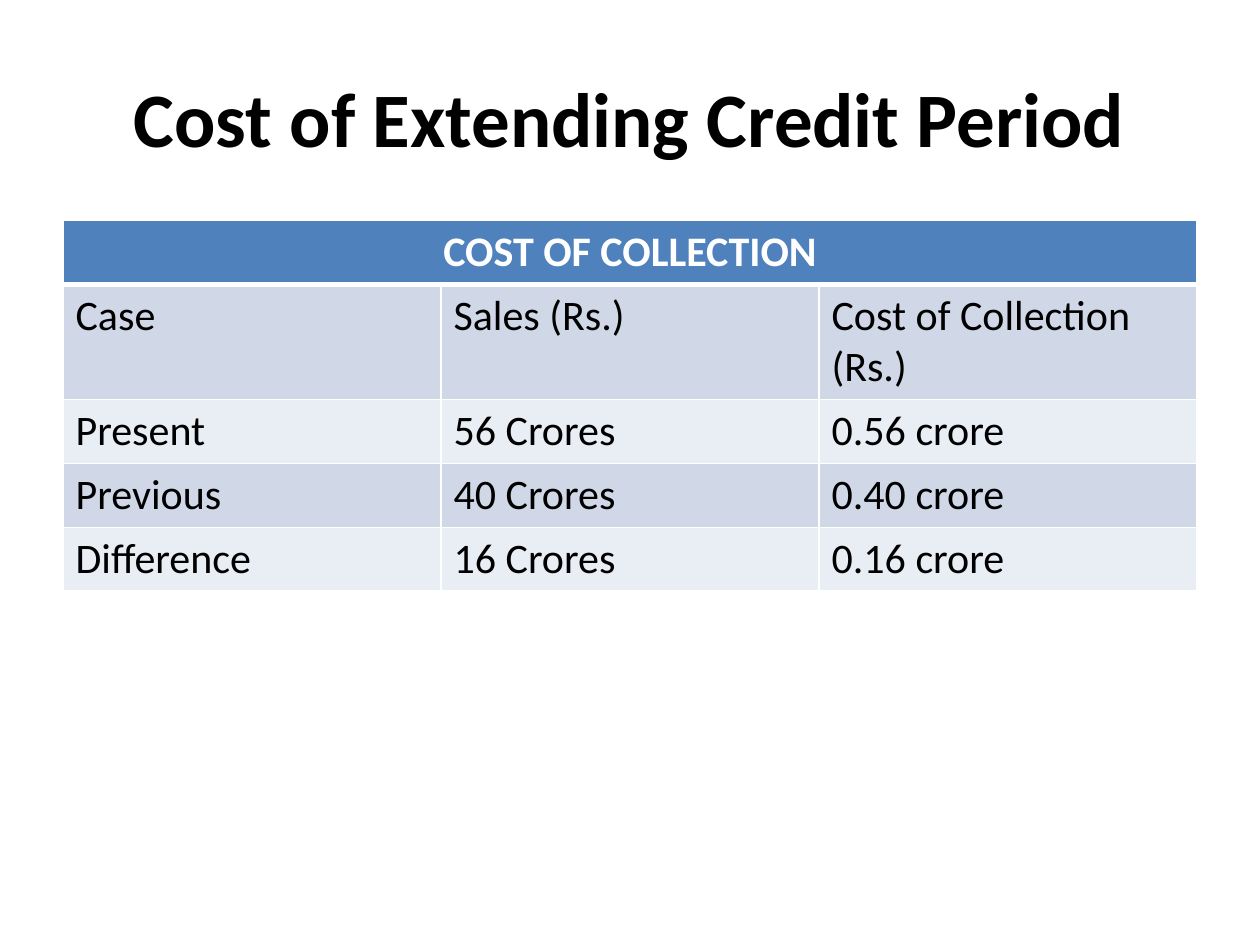
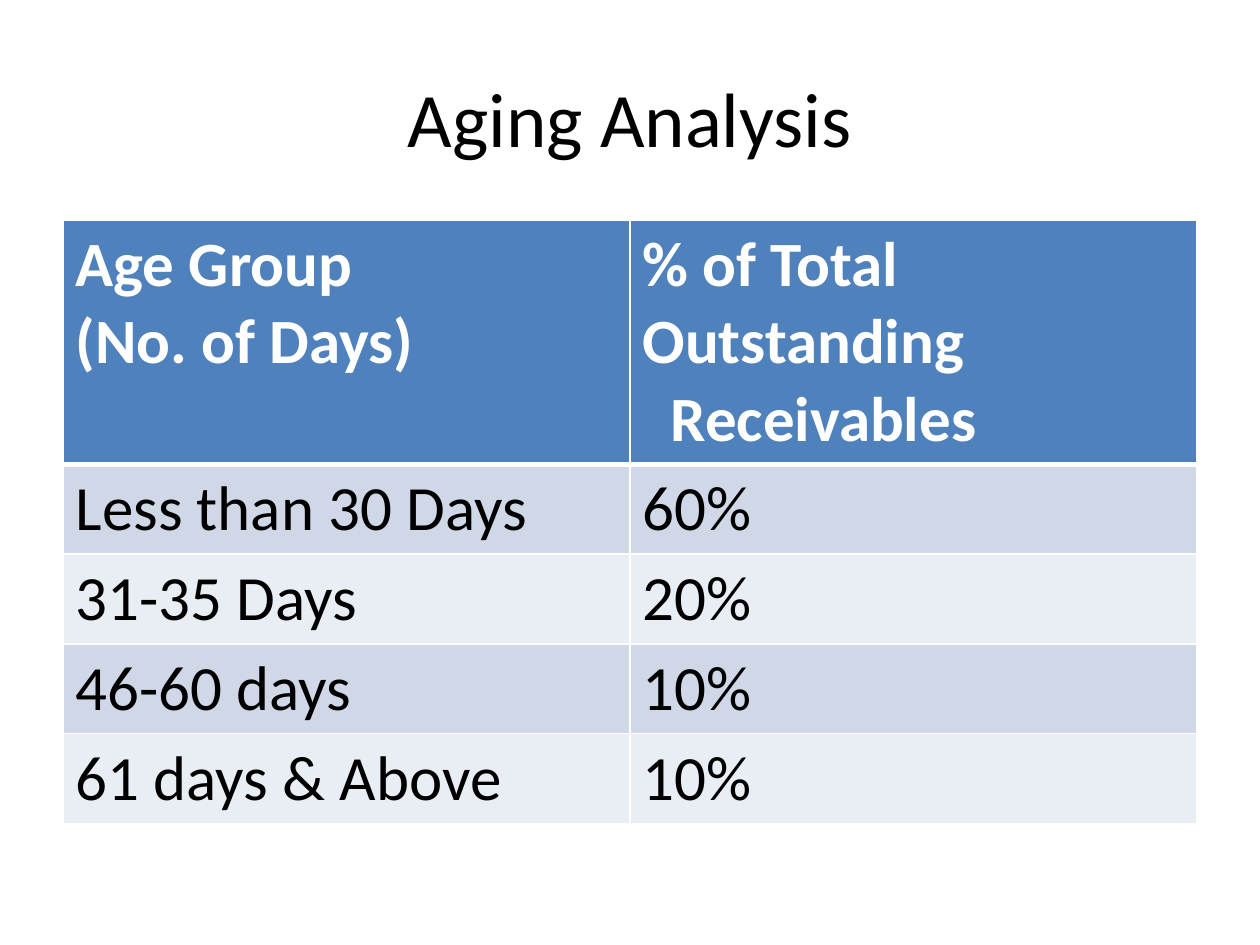
from pptx import Presentation
from pptx.dml.color import RGBColor
from pptx.enum import text as t
from pptx.oxml import ns, xmlchemy
from pptx.util import Pt

# Shared look
FONT = "Calibri"
BLACK = RGBColor(0x00, 0x00, 0x00)
WHITE = RGBColor(0xFF, 0xFF, 0xFF)
HEADER = RGBColor(0x4F, 0x81, 0xBD)
BANDS = RGBColor(0xD0, 0xD8, 0xE8), RGBColor(0xE9, 0xED, 0xF4)
TITLE_BOX = Pt(36), Pt(21.6), Pt(648), Pt(90)
TABLE_LEFT, TABLE_TOP, TABLE_WIDTH = Pt(36), Pt(126), Pt(648)
ROW_HEIGHT = Pt(29.2)
THIN, THICK = Pt(1), Pt(3)

COLLECTION_ROWS = [
    ["COST OF COLLECTION", "", ""],
    ["Case", "Sales (Rs.)", "Cost of Collection (Rs.)"],
    ["Present", "56 Crores", "0.56 crore"],
    ["Previous", "40 Crores", "0.40 crore"],
    ["Difference", "16 Crores", "0.16 crore"],
]
AGING_ROWS = [
    ["Age Group\n(No. of Days)", "% of Total Outstanding\nReceivables"],
    ["Less than 30 Days", "60%"],
    ["31-35 Days", "20%"],
    ["46-60 days", "10%"],
    ["61 days & Above", "10%"],
]


def format_text(tf, size, color, bold):
    """Give every run in the frame the same font."""
    style = {"name": FONT, "size": Pt(size), "bold": bold}
    for p in tf.paragraphs:
        for r in p.runs:
            for key, value in style.items():
                setattr(r.font, key, value)
            r.font.color.rgb = color


def add_title(s, box, title, bold):
    sp = s.shapes.title
    for key, value in zip(("left", "top", "width", "height"), box):
        setattr(sp, key, value)
    tf = sp.text_frame
    tf.text = title
    tf.vertical_anchor = t.MSO_ANCHOR.MIDDLE
    tf.paragraphs[0].alignment = t.PP_ALIGN.CENTER
    format_text(tf, 44, BLACK, bold)


def set_borders(cell, widths):
    """Draw white cell borders; widths are keyed by side, in schema order."""
    tc_pr = cell._tc.get_or_add_tcPr()
    for i, (side, width) in enumerate(widths.items()):
        ln = xmlchemy.OxmlElement(f"a:ln{side}")
        ln.set("w", str(width))
        fill = xmlchemy.OxmlElement("a:solidFill")
        color = xmlchemy.OxmlElement("a:srgbClr")
        color.set("val", str(WHITE))
        fill.append(color)
        ln.append(fill)
        tc_pr.insert(i, ln)


def add_banded_table(s, box, rows, size):
    """Fill a table with a header row and alternating bands."""
    frame = s.shapes.add_table(len(rows), len(rows[0]), *box)
    table = frame.table
    for i, values in enumerate(rows):
        table.rows[i].height = ROW_HEIGHT
        is_header = i == 0
        for j, value in enumerate(values):
            cell = table.cell(i, j)
            cell.text = value
            cell.fill.solid()
            cell.fill.fore_color.rgb = HEADER if is_header else BANDS[(i - 1) % 2]
            format_text(cell.text_frame, size, WHITE if is_header else BLACK, is_header)
            set_borders(cell, {
                "L": THIN,
                "R": THIN,
                "T": THICK if i == 1 else THIN,
                "B": THICK if is_header else THIN,
            })
    frame.height = box[3]
    return table


def add_slide(prs, title, bold):
    s = prs.slides.add_slide(prs.slide_layouts[5])
    add_title(s, TITLE_BOX, title, bold)
    return s


def collection_slide(prs):
    s = add_slide(prs, "Cost of Extending Credit Period", True)
    box = TABLE_LEFT, TABLE_TOP, TABLE_WIDTH, Pt(208.8)
    table = add_banded_table(s, box, COLLECTION_ROWS, 24)
    # Heading across all columns
    heading = table.cell(0, 0)
    heading.merge(table.cell(0, 2))
    heading.text_frame.paragraphs[0].alignment = t.PP_ALIGN.CENTER


def aging_slide(prs):
    s = add_slide(prs, "Aging Analysis", False)
    box = TABLE_LEFT, TABLE_TOP, TABLE_WIDTH, Pt(338.4)
    table = add_banded_table(s, box, AGING_ROWS, 36)
    # Indented second line of the header
    p = table.cell(0, 1).text_frame.paragraphs[1]
    p._p.get_or_add_pPr().set("marL", str(Pt(16)))


def main():
    prs = Presentation()
    prs.slide_width, prs.slide_height = Pt(720), Pt(540)
    collection_slide(prs)
    aging_slide(prs)
    prs.save("out.pptx")


if __name__ == "__main__":
    main()
